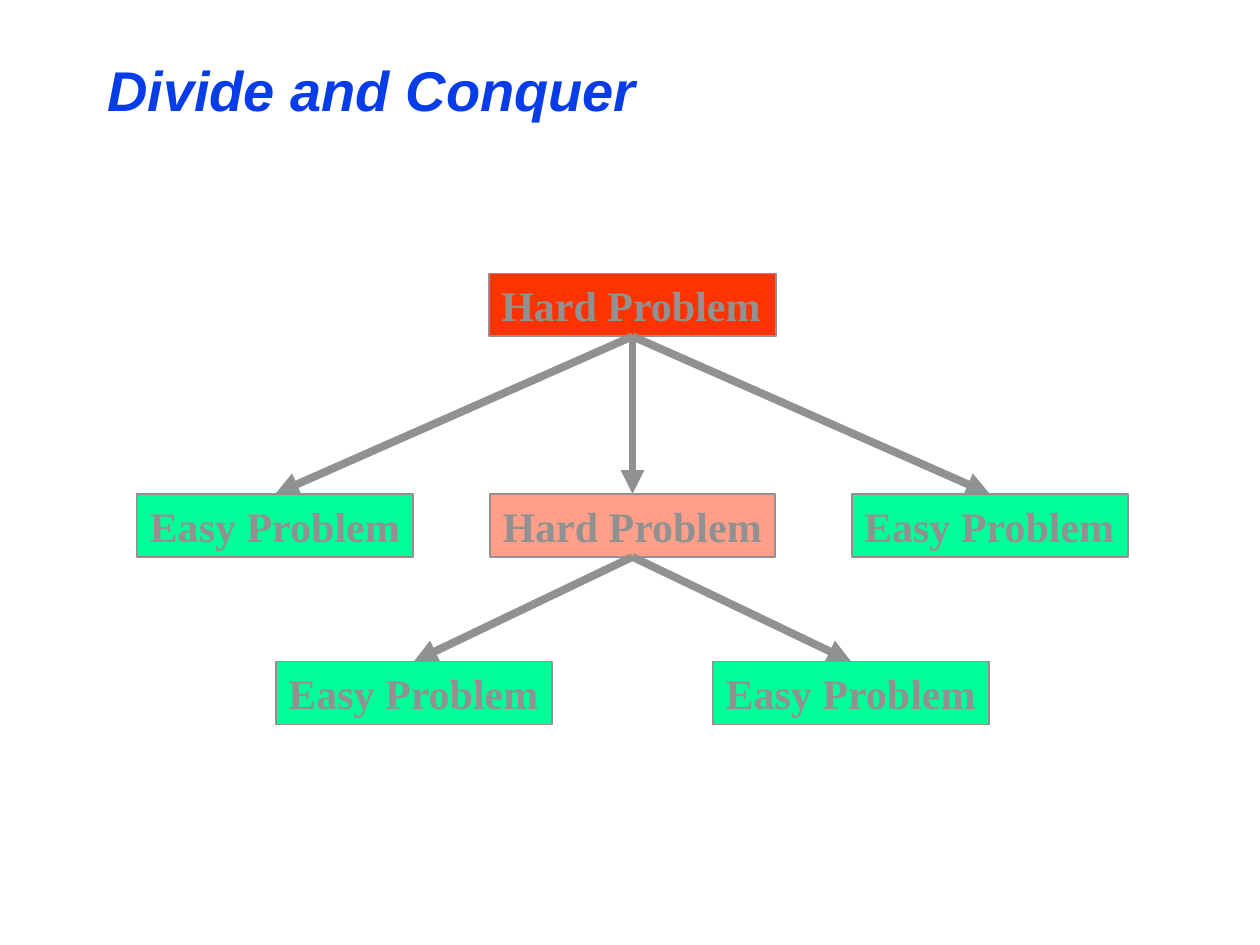
from dataclasses import dataclass

from lxml.etree import SubElement
from pptx import Presentation
from pptx.dml.color import RGBColor
from pptx.enum.shapes import MSO_CONNECTOR as Link, MSO_SHAPE as Kind
from pptx.enum.text import MSO_ANCHOR as Anchor, MSO_AUTO_SIZE as Fit, PP_ALIGN as Align
from pptx.oxml.ns import qn
from pptx.shapes.autoshape import Shape
from pptx.slide import Slide
from pptx.util import Inches, Pt

GRAY, GREEN, RED, PINK = "919191", "00FF99", "FF3300", "FF9F89"
TOP, MID, LOW = 2.17, 3.92, 5.25
HIGH = 0.5
BOTTOM_SIDE, TOP_SIDE = 2, 0


@dataclass
class Box:
    text: str
    left: float
    top: float
    width: float
    fill: str
    wrap: bool = False


def easy(left: float, top: float) -> Box:
    return Box("Easy Problem", left, top, 2.19, GREEN)


ROOT = Box("Hard Problem", 3.88, TOP, 2.28, RED, wrap=True)
HARD = Box("Hard Problem", 3.89, MID, 2.26, PINK)
MID_ROW = [easy(1.09, MID), HARD, easy(6.76, MID)]
LOW_ROW = [easy(2.19, LOW), easy(5.66, LOW)]


def rgb(code: str) -> RGBColor:
    return RGBColor.from_string(code)


def add_title(slide: Slide, text: str) -> None:
    title = slide.shapes.title
    title.left, title.top = Inches(0.75), Inches(0.33)
    title.width, title.height = Inches(8.5), Inches(0.75)
    frame = title.text_frame
    frame.text = text
    frame.vertical_anchor = Anchor.MIDDLE
    para = frame.paragraphs[0]
    para.alignment = Align.LEFT
    font = para.runs[0].font
    font.name, font.size = "Arial", Pt(32)
    font.bold = font.italic = True
    font.color.rgb = rgb("063DE8")


def add_box(slide: Slide, box: Box) -> Shape:
    shape = slide.shapes.add_shape(
        Kind.RECTANGLE, Inches(box.left), Inches(box.top), Inches(box.width), Inches(HIGH)
    )
    shape.shadow.inherit = False
    shape.fill.solid()
    shape.fill.fore_color.rgb = rgb(box.fill)
    shape.line.color.rgb = rgb(GRAY)
    shape.line.width = Pt(1)
    frame = shape.text_frame
    frame.text = box.text
    frame.word_wrap = box.wrap
    frame.auto_size = Fit.SHAPE_TO_FIT_TEXT
    frame.vertical_anchor = Anchor.TOP
    para = frame.paragraphs[0]
    para.alignment = Align.LEFT
    font = para.runs[0].font
    font.name, font.size, font.bold = "Times New Roman", Pt(24), True
    font.color.rgb = rgb(GRAY)
    return shape


def add_arrow(slide: Slide, start: Shape, end: Shape) -> None:
    arrow = slide.shapes.add_connector(Link.STRAIGHT, 0, 0, 0, 0)
    arrow.begin_connect(start, BOTTOM_SIDE)
    arrow.end_connect(end, TOP_SIDE)
    arrow.line.color.rgb = rgb(GRAY)
    arrow.line.width = Pt(4.5)
    SubElement(arrow.line._get_or_add_ln(), qn("a:tailEnd"), type="triangle")
    SubElement(arrow._element.spPr, qn("a:effectLst"))


def add_row(slide: Slide, start: Shape, row: list[Box]) -> list[Shape]:
    """Draw the boxes of a row, each with an arrow from the box above."""
    shapes = [add_box(slide, box) for box in row]
    for shape in shapes:
        add_arrow(slide, start, shape)
    return shapes


def main() -> None:
    deck = Presentation()
    deck.slide_width, deck.slide_height = Inches(10), Inches(7.5)
    slide = deck.slides.add_slide(deck.slide_layouts[5])
    add_title(slide, "Divide and Conquer")
    root = add_box(slide, ROOT)
    shapes = add_row(slide, root, MID_ROW)
    add_row(slide, shapes[MID_ROW.index(HARD)], LOW_ROW)
    deck.save("out.pptx")


if __name__ == "__main__":
    main()
